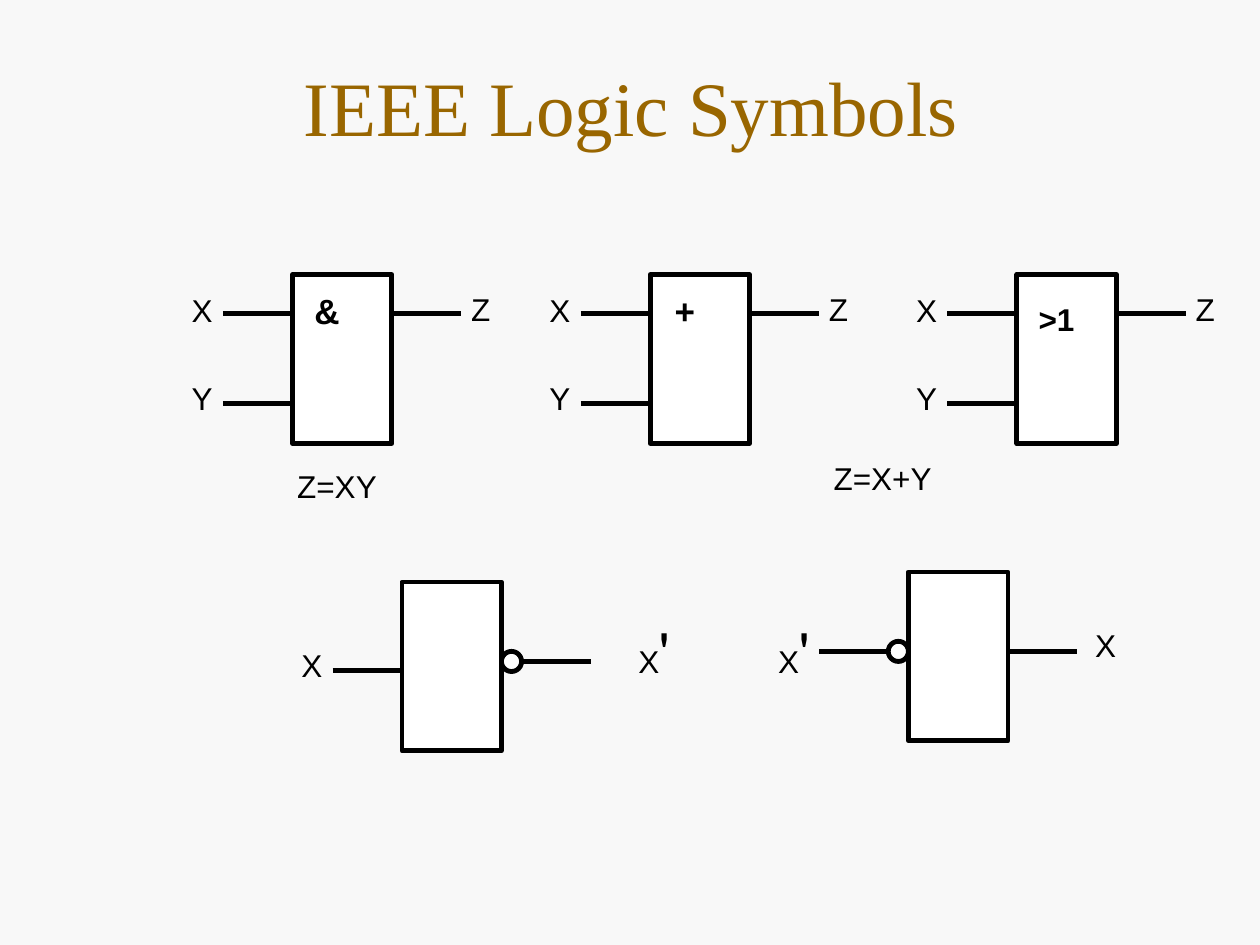
import pptx
import pptx.util
from pptx.dml.color import RGBColor
from pptx.enum.shapes import MSO_CONNECTOR, MSO_SHAPE
from pptx.enum.text import MSO_ANCHOR, PP_ALIGN
from pptx.oxml.ns import qn
from pptx.util import Inches

BACKGROUND = RGBColor(0xF8, 0xF8, 0xF8)
TITLE_COLOR = RGBColor(0x99, 0x66, 0x00)
BLACK = RGBColor(0, 0, 0)
WHITE = RGBColor(0xFF, 0xFF, 0xFF)

LINE_WIDTH = pptx.util.Pt(2.75)
BODY_W, BODY_H = 0.79, 1.34
WIRE = 0.55
BUBBLE = 0.16
LABEL_W, LABEL_H = 0.47, 0.4
GATE_TOP = 2.18


def add_text(shapes, text, left, top, width, height, size=18, bold=False,
             font="Arial", color=BLACK, prime_size=None):
    """Centred label; prime_size appends a larger prime mark."""
    box = shapes.add_textbox(Inches(left), Inches(top), Inches(width), Inches(height))
    box.text_frame.word_wrap = True
    paragraph = box.text_frame.paragraphs[0]
    paragraph.alignment = PP_ALIGN.CENTER
    paragraph.font.name = font
    paragraph.font.size = pptx.util.Pt(size)
    paragraph.font.bold = bold
    paragraph.font.color.rgb = color
    paragraph.add_run().text = text
    if prime_size:
        prime = paragraph.add_run()
        prime.text = "׳"
        prime.font.size = pptx.util.Pt(prime_size)
    return box


def add_outline(shapes, preset, left, top, width, height):
    outline = shapes.add_shape(preset, Inches(left), Inches(top), Inches(width), Inches(height))
    outline.shadow.inherit = False
    outline.fill.solid()
    outline.fill.fore_color.rgb = WHITE
    outline.line.color.rgb = BLACK
    outline.line.width = LINE_WIDTH


def add_body(shapes, left, top):
    add_outline(shapes, MSO_SHAPE.RECTANGLE, left, top, BODY_W, BODY_H)


def add_bubble(shapes, left, top):
    add_outline(shapes, MSO_SHAPE.OVAL, left, top, BUBBLE, BUBBLE)


def add_wire(shapes, left, y):
    wire = shapes.add_connector(MSO_CONNECTOR.STRAIGHT, Inches(left), Inches(y),
                                Inches(left + WIRE), Inches(y))
    wire.line.color.rgb = BLACK
    wire.line.width = LINE_WIDTH
    wire._element.spPr.append(wire._element.makeelement(qn("a:effectLst"), {}))


def add_gate(slide, left):
    """Two-input gate: body, three wires and their labels."""
    shapes = slide.shapes.add_group_shape().shapes
    add_body(shapes, left, GATE_TOP)
    add_wire(shapes, left + BODY_W, 2.49)
    for name, wire_y, label_top in (("X", 2.49, 2.26), ("Y", 3.2, 2.96)):
        add_wire(shapes, left - WIRE, wire_y)
        add_text(shapes, name, left - 0.95, label_top, LABEL_W, LABEL_H)
    add_text(shapes, "Z", left + 1.26, 2.25, LABEL_W, LABEL_H)


def add_output_inverter(shapes, left, top):
    """Inverter with the bubble on its output."""
    add_body(shapes, left, top)
    add_wire(shapes, left - WIRE, top + 0.7)
    add_wire(shapes, left + BODY_W + BUBBLE, top + 0.63)
    add_bubble(shapes, left + BODY_W, top + 0.55)
    add_text(shapes, "X", left - 0.95, top + 0.46, LABEL_W, LABEL_H)
    add_text(shapes, "X", left + 1.49, 4.85, 1.02, 0.64, prime_size=32)


def add_input_inverter(shapes, left, top):
    """Inverter with the bubble on its input."""
    add_body(shapes, left, top)
    add_wire(shapes, left - BUBBLE - WIRE, top + 0.63)
    add_wire(shapes, left + BODY_W, top + 0.63)
    add_bubble(shapes, left - BUBBLE, top + 0.55)
    add_text(shapes, "X", left - 1.42, 4.85, 1.02, 0.64, prime_size=32)
    add_text(shapes, "X", left + 1.33, top + 0.38, LABEL_W, LABEL_H)


def main():
    presentation = pptx.Presentation()
    presentation.slide_width = Inches(10)
    presentation.slide_height = Inches(7.5)
    slide = presentation.slides.add_slide(presentation.slide_layouts[6])
    slide.background.fill.solid()
    slide.background.fill.fore_color.rgb = BACKGROUND
    shapes = slide.shapes

    # Title
    title = add_text(shapes, "IEEE Logic Symbols", 0.51, 0.21, 9, 1.25, size=44,
                     font="Times New Roman", color=TITLE_COLOR)
    title.text_frame.vertical_anchor = MSO_ANCHOR.MIDDLE

    # AND gate and the two forms of the OR gate
    for symbol, left, top, width, height, size in (
            ("&", 2.32, 2.25, 0.55, 0.44, 20),
            ("+", 5.16, 2.25, 0.55, 0.44, 20),
            (">1", 8.07, 2.33, 0.63, 0.4, 18)):
        add_gate(slide, left)
        add_text(shapes, symbol, left, top, width, height, size=size, bold=True)

    # Equations
    add_text(shapes, "Z=XY", 1.69, 3.66, 1.97, LABEL_H)
    add_text(shapes, "Z=X+Y", 6.02, 3.59, 1.97, LABEL_H)

    # Inverters
    add_output_inverter(shapes, 3.19, 4.62)
    add_input_inverter(shapes, 7.21, 4.54)

    presentation.save("out.pptx")


if __name__ == "__main__":
    main()
